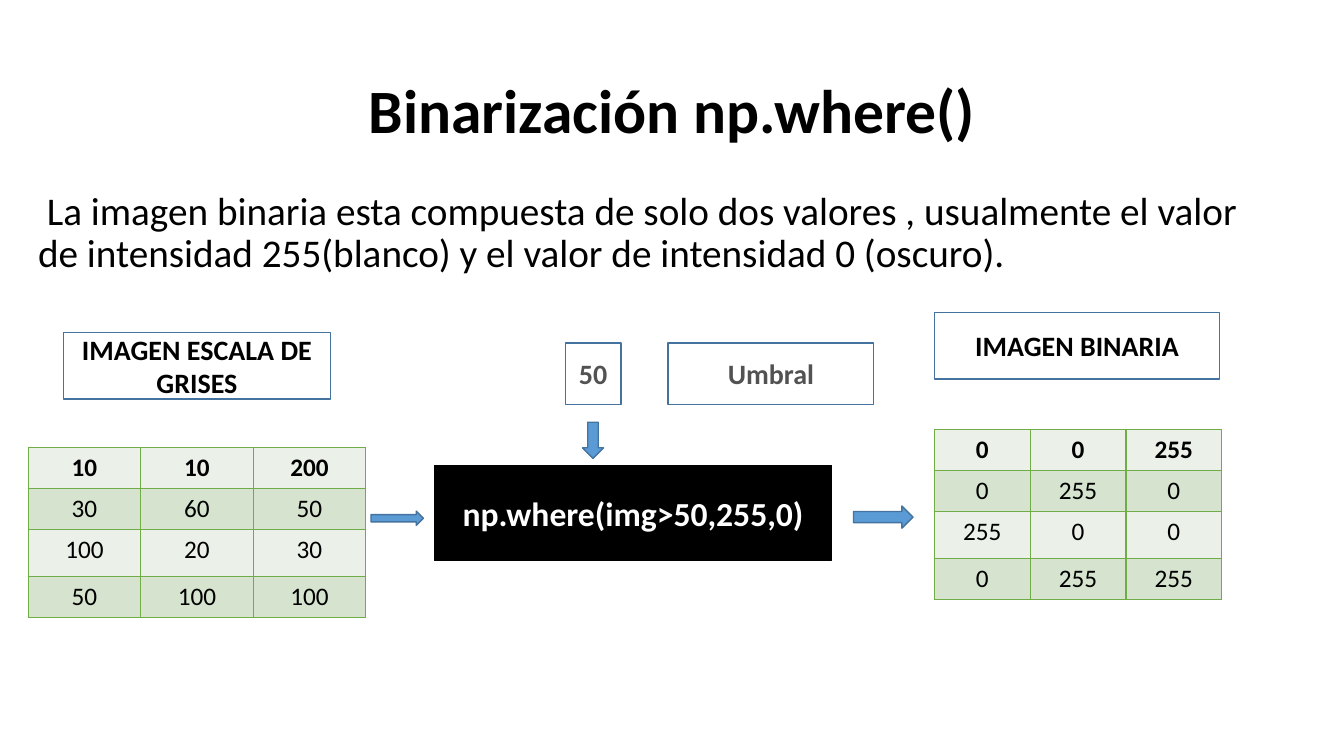
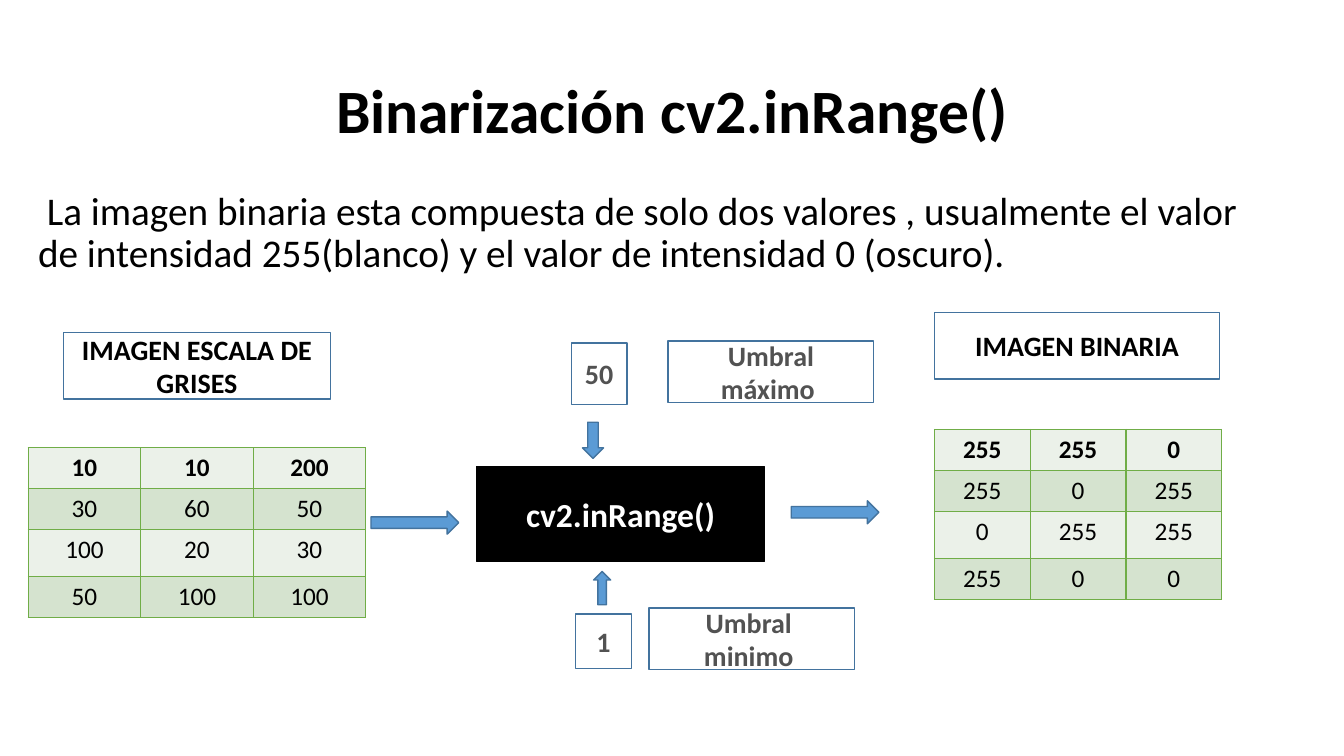
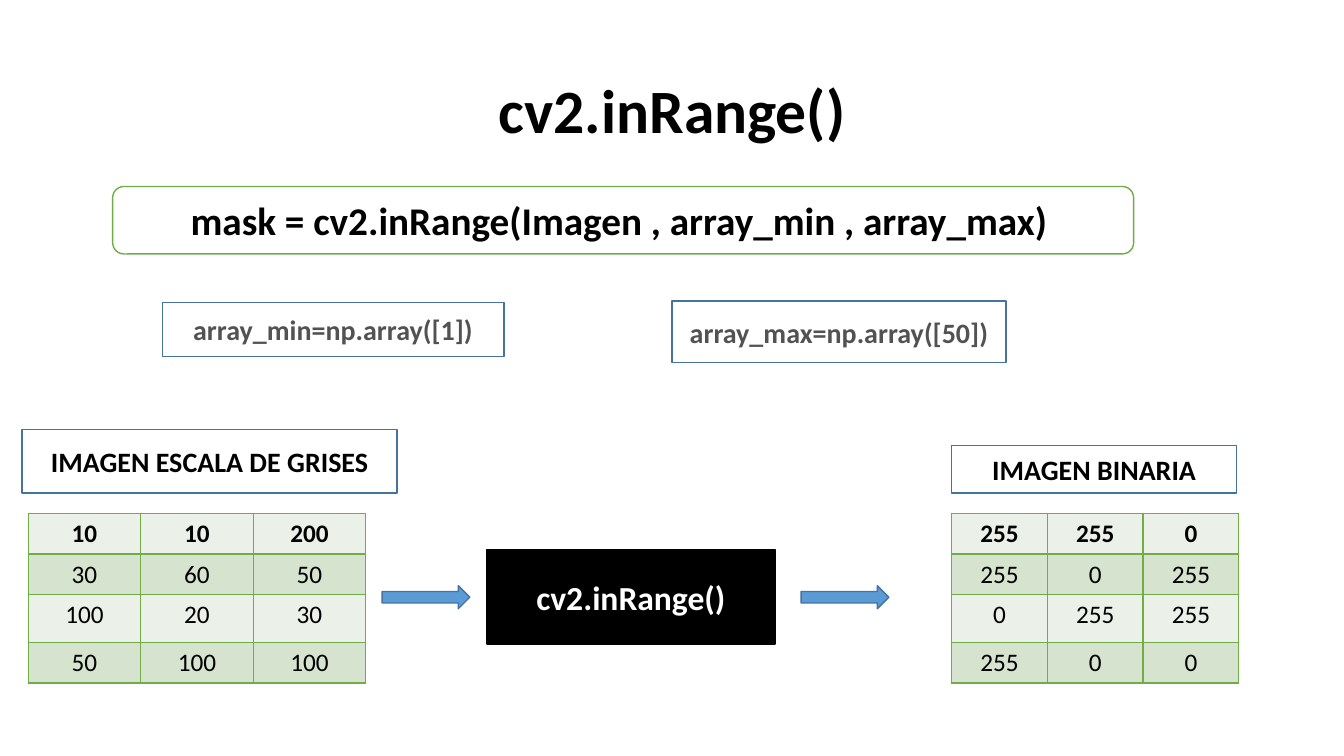
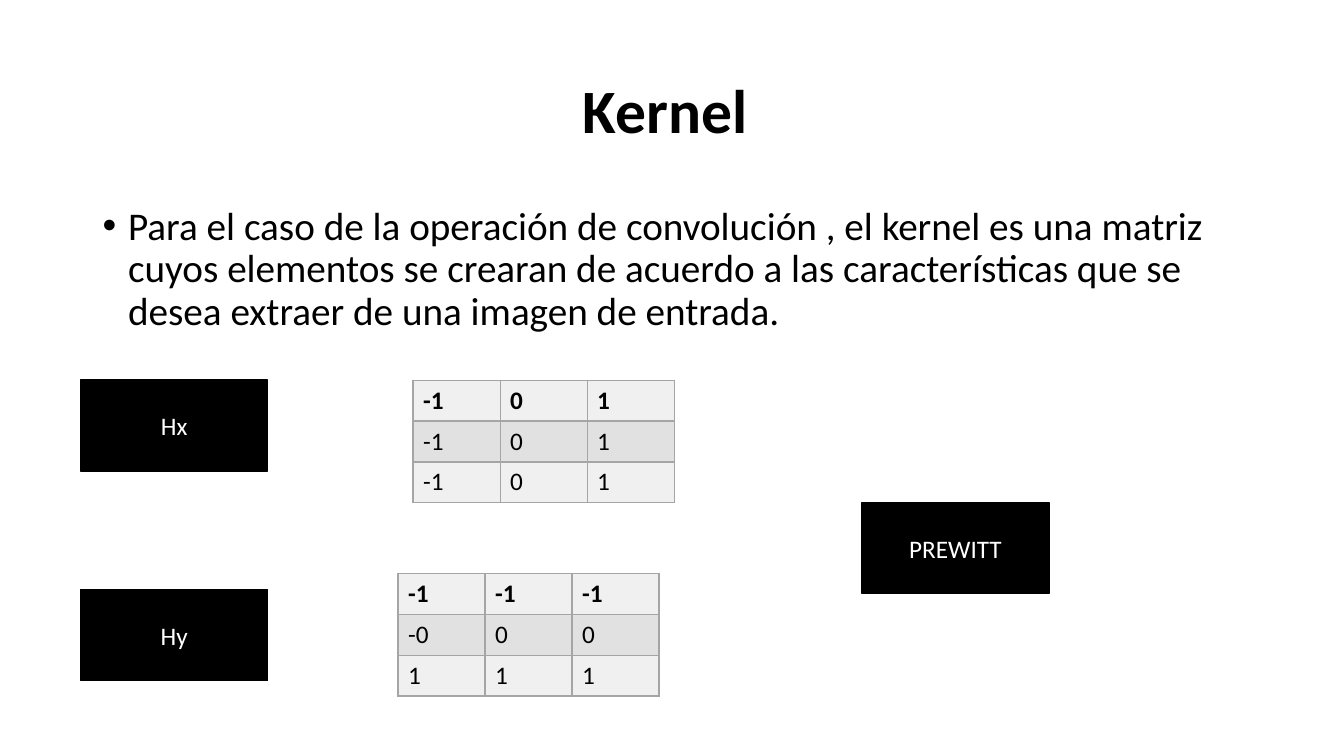
from lxml import etree
from pptx import Presentation
from pptx.dml.color import RGBColor
from pptx.enum.shapes import MSO_SHAPE
from pptx.enum.text import MSO_ANCHOR, PP_ALIGN
from pptx.oxml.ns import qn
from pptx.util import Cm, Pt

RECT = MSO_SHAPE.RECTANGLE
ROUND = MSO_SHAPE.ROUNDED_RECTANGLE
RIGHT = MSO_SHAPE.RIGHT_ARROW
DOWN = MSO_SHAPE.DOWN_ARROW
UP = MSO_SHAPE.UP_ARROW
MIDDLE, TOP = MSO_ANCHOR.MIDDLE, MSO_ANCHOR.TOP
CENTER, LEFT = PP_ALIGN.CENTER, PP_ALIGN.LEFT

FONT = "Calibri"
BLACK, WHITE, GRAY = "000000", "FFFFFF", "525252"
BLUE, NAVY, GREEN = "5B9BD5", "43739E", "70AD47"
LEAF = (GREEN, "EBF1E9", "D5E3CF")
STONE = ("A5A5A5", "F0F0F0", "E1E1E1")

ROW, TALL = 1.03, 1.19
INTRO = (" La imagen binaria esta compuesta de solo dos valores , usualmente el valor "
         "de intensidad 255(blanco) y el valor de intensidad 0 (oscuro).")
KERNEL = ("Para el caso de la operación de convolución , el kernel es una matriz cuyos "
          "elementos se crearan de acuerdo a las características que se desea extraer "
          "de una imagen de entrada.")
INPUT = ((10, 10, 200), (30, 60, 50), (100, 20, 30), (50, 100, 100))
ABOVE = [[255 if n > 50 else 0 for n in row] for row in INPUT]
WITHIN = [[255 - n for n in row] for row in ABOVE]


def rgb(code):
    """Turn a hex string into a colour."""
    return RGBColor.from_string(code)


def shift(box, part):
    """Place a part, given by offset and size, relative to a box."""
    return box[0] + part[0], box[1] + part[1], part[2], part[3]


def style(para, size, color=BLACK, bold=False, align=LEFT):
    """Set the font and alignment of a paragraph."""
    para.alignment = align
    font = para.font
    font.name, font.size, font.bold = FONT, Pt(size), bold
    font.color.rgb = rgb(color)


def shape(slide, kind, box, fill=None, line=NAVY):
    """Draw a flat preset shape."""
    item = slide.shapes.add_shape(kind, *map(Cm, box))
    item.shadow.inherit = False
    if fill:
        item.fill.solid()
        item.fill.fore_color.rgb = rgb(fill)
    else:
        item.fill.background()
    item.line.color.rgb = rgb(line)
    item.line.width = Pt(1)
    return item


def label(slide, box, text, size=20, color=BLACK, bold=True, fill=None, line=NAVY, kind=RECT):
    """Draw a shape with centred text, one paragraph a line."""
    frame = shape(slide, kind, box, fill, line).text_frame
    frame.word_wrap = True
    frame.vertical_anchor = MIDDLE
    frame.text = text
    for para in frame.paragraphs:
        style(para, size, color, bold, CENTER)


def block(slide, box, text, size):
    """Add a text box and return its frame and paragraph."""
    frame = slide.shapes.add_textbox(*map(Cm, box)).text_frame
    frame.word_wrap = True
    frame.text = text
    para = frame.paragraphs[0]
    para.line_spacing = 0.9
    return frame, para


def page(deck, title):
    """Add a blank slide with its title."""
    slide = deck.slides.add_slide(deck.slide_layouts[6])
    frame, para = block(slide, (2.34, 1.02, 29.21, 3.68), title, 44)
    frame.vertical_anchor = MIDDLE
    style(para, 44, bold=True, align=CENTER)
    return slide


def body(slide, box, text, bullet=False):
    """Add the running text of a slide."""
    frame, para = block(slide, box, text, 28)
    frame.vertical_anchor = TOP
    para.space_before = Pt(10)
    if bullet:
        props = para._p.get_or_add_pPr()
        props.set("marL", str(Cm(0.64)))
        props.set("indent", str(-Cm(0.64)))
        etree.SubElement(props, qn("a:buFont")).set("typeface", "Arial")
        etree.SubElement(props, qn("a:buChar")).set("char", "•")
    style(para, 28)


def border(cell, color):
    """Rule the four sides of a cell."""
    props = cell._tc.get_or_add_tcPr()
    for side in ("lnL", "lnR", "lnT", "lnB"):
        line = etree.SubElement(props, qn(f"a:{side}"), w=str(Pt(1)))
        fill = etree.SubElement(line, qn("a:solidFill"))
        etree.SubElement(fill, qn("a:srgbClr"), val=color)


def grid(slide, box, rows, highs, tones=LEAF, align=CENTER):
    """Draw a banded matrix with a bold first row at left, top and width."""
    left, top, width = box
    count = len(rows[0])
    area = map(Cm, (left, top, width, sum(highs)))
    table = slide.shapes.add_table(len(rows), count, *area).table
    for col in table.columns:
        col.width = Cm(width / count)
    for r, (row, high) in enumerate(zip(rows, highs)):
        table.rows[r].height = Cm(high)
        for c, value in enumerate(row):
            cell = table.cell(r, c)
            border(cell, tones[0])
            cell.fill.solid()
            cell.fill.fore_color.rgb = rgb(tones[1 + r % 2])
            cell.text = str(value)
            style(cell.text_frame.paragraphs[0], 18, bold=r == 0, align=align)


def panel(slide, box, tag, name, rows):
    """Draw an image matrix with its name tag above."""
    grid(slide, box, rows, (ROW, ROW, TALL, ROW))
    label(slide, shift(box, tag), name)


def pair(slide, gray, graytag, binary, bintag, rows):
    """Draw the input panel and the output panel."""
    panel(slide, gray, graytag, "IMAGEN ESCALA DE GRISES", INPUT)
    panel(slide, binary, bintag, "IMAGEN BINARIA", rows)


def step(slide, box, text, *arrows):
    """Draw the black function box and the arrows beside it."""
    label(slide, box, text, 24, WHITE, fill=BLACK, line=BLACK)
    for part in arrows:
        shape(slide, RIGHT, shift(box, part), BLUE)


def limit(slide, box, value, name, tag, kind, arrow):
    """Draw a threshold value with its name and arrow."""
    label(slide, box, value, color=GRAY)
    label(slide, shift(box, (*tag, 5.18, 1.55)), name, color=GRAY)
    shape(slide, kind, shift(box, arrow), BLUE)


def binary(deck, title, rows):
    """Start a slide that shows an image before and after."""
    slide = page(deck, title)
    body(slide, (0.71, 4.7, 30.84, 12.47), INTRO)
    pair(slide, (0.71, 11.28, 8.51), (0.89, -2.9, 6.73, 1.68),
         (23.55, 10.82, 7.24), (0, -2.95, 7.19, 1.68), rows)
    return slide


def where(deck):
    """Build the np.where slide."""
    slide = binary(deck, "Binarización np.where()", ABOVE)
    step(slide, (10.95, 11.73, 10.01, 2.39), "np.where(img>50,255,0)",
         (-1.6, 1.15, 1.32, 0.36), (10.56, 1.02, 1.5, 0.56))
    limit(slide, (14.25, 8.64, 1.4, 1.55), "50", "Umbral", (2.59, 0),
          DOWN, (0.43, 2, 0.53, 0.91))


def span(deck):
    """Build the slide of the two thresholds."""
    slide = binary(deck, "Binarización cv2.inRange()", WITHIN)
    step(slide, (12.01, 11.76, 7.26, 2.39), "cv2.inRange()",
         (-2.66, 1.12, 2.21, 0.58), (7.93, 0.86, 2.21, 0.58))
    limit(slide, (14.4, 8.64, 1.4, 1.55), "50", "Umbral máximo ", (2.44, -0.05),
          DOWN, (0.28, 2, 0.53, 0.91))
    limit(slide, (14.5, 15.47, 1.42, 1.37), "1", "Umbral \nminimo ", (1.86, -0.15),
          UP, (0.46, -1.07, 0.43, 0.84))


def syntax(deck):
    """Build the slide of the inRange call."""
    slide = page(deck, "cv2.inRange()")
    label(slide, (2.84, 4.7, 25.73, 1.7),
          "mask = cv2.inRange(Imagen , array_min , array_max) ",
          28, fill=WHITE, line=GREEN, kind=ROUND)
    label(slide, (4.09, 7.62, 8.61, 1.37), "array_min=np.array([1])", color=GRAY)
    label(slide, (16.94, 7.59, 8.41, 1.55), "array_max=np.array([50])", color=GRAY)
    pair(slide, (0.71, 12.93, 8.51), (-0.15, -2.11, 9.45, 1.6),
         (23.98, 12.93, 7.24), (0, -1.7, 7.19, 1.19), WITHIN)
    step(slide, (12.27, 13.84, 7.26, 2.39), "cv2.inRange()",
         (-2.64, 0.92, 2.21, 0.58), (7.92, 0.92, 2.21, 0.58))


def kernel(deck):
    """Build the kernel slide."""
    slide = page(deck, "Kernel ")
    body(slide, (2.34, 5.08, 29.21, 12.09), KERNEL, True)
    down = ((-1, 0, 1),) * 3
    across = ((-1, -1, -1), ("-0", 0, 0), (1, 1, 1))
    for left, top, rows in ((10.41, 9.58, down), (10.03, 14.45, across)):
        grid(slide, (left, top, 6.58), rows, (ROW,) * 3, STONE, LEFT)
    for left, top, name in ((2.03, 9.58, "Hx"), (2.03, 14.86, "Hy"), (21.72, 12.67, "PREWITT")):
        label(slide, (left, top, 4.72, 2.29), name, 18, WHITE, False, BLACK, BLACK)


def main():
    """Build and save the deck."""
    deck = Presentation()
    deck.slide_width, deck.slide_height = Cm(33.87), Cm(19.05)
    for build in (where, span, syntax, kernel):
        build(deck)
    deck.save("out.pptx")


if __name__ == "__main__":
    main()
